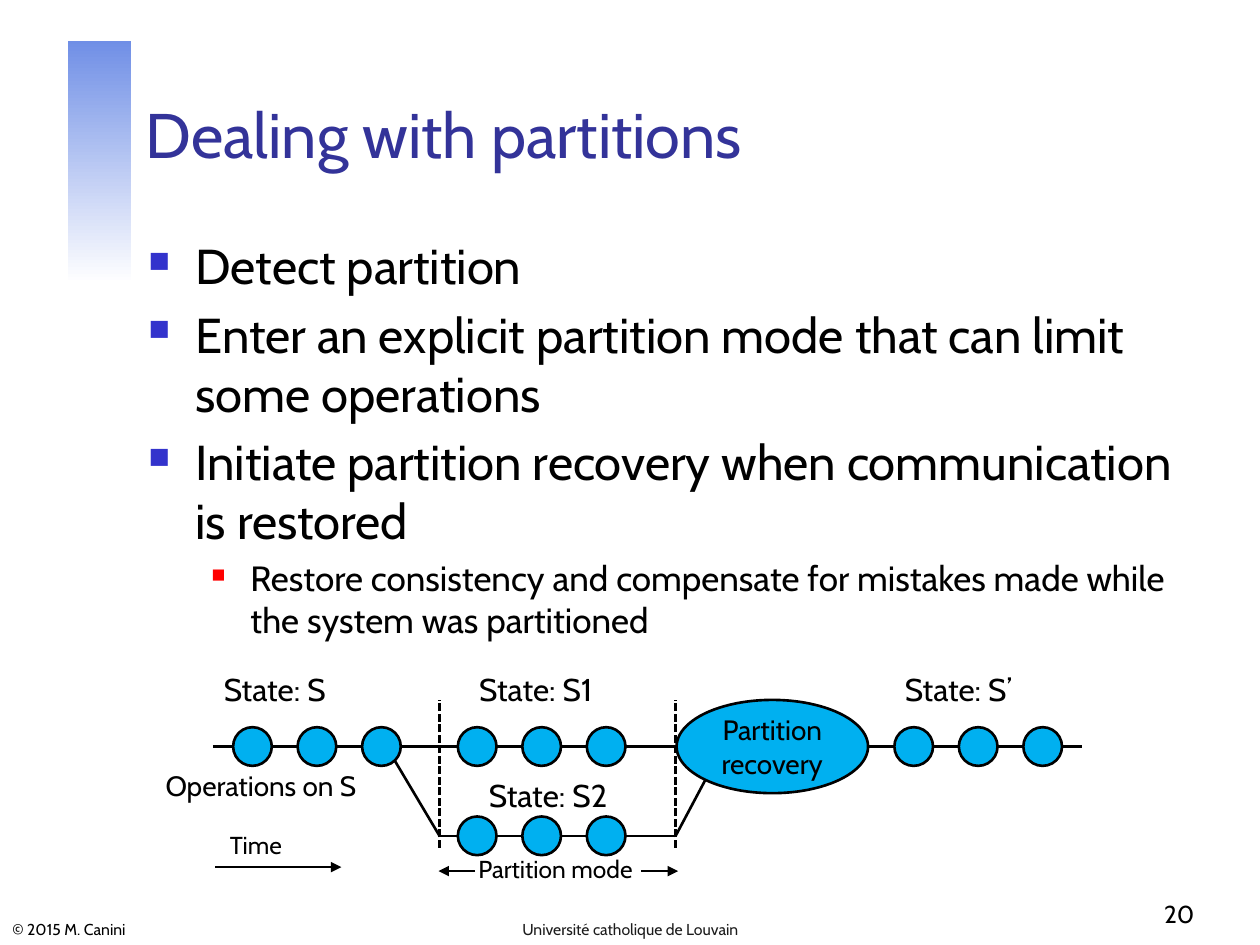
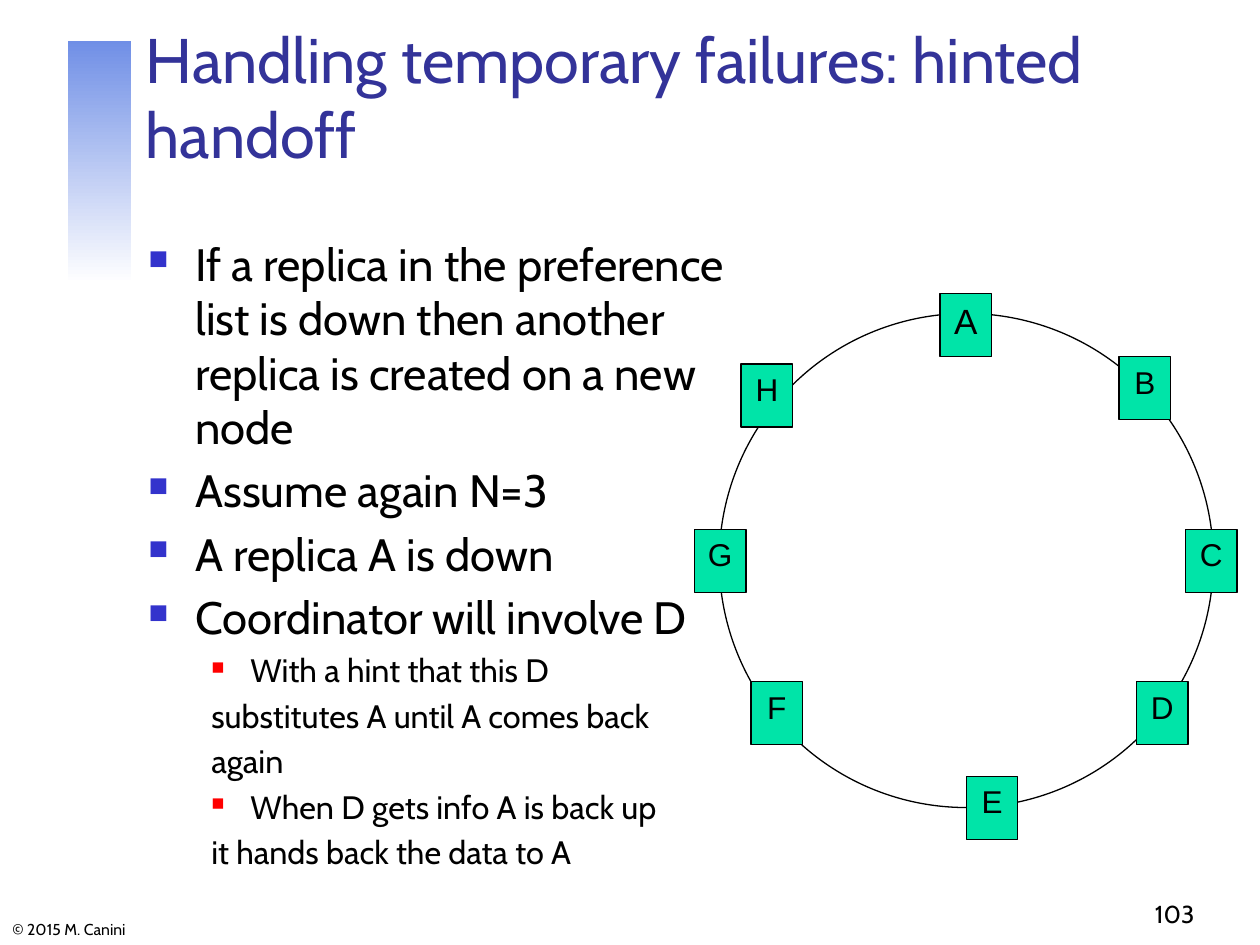
from dataclasses import dataclass

from lxml import etree
from pptx import Presentation
from pptx import util as u
from pptx.dml.color import RGBColor
from pptx.enum import dml, shapes, text
from pptx.oxml import ns

Cm, Pt = u.Cm, u.Pt
LEFT, CENTER, RIGHT = text.PP_ALIGN.LEFT, text.PP_ALIGN.CENTER, text.PP_ALIGN.RIGHT
TOP, MIDDLE, BOTTOM = text.MSO_ANCHOR.TOP, text.MSO_ANCHOR.MIDDLE, text.MSO_ANCHOR.BOTTOM
OVAL, BOX = shapes.MSO_SHAPE.OVAL, shapes.MSO_SHAPE.RECTANGLE


@dataclass(frozen=True)
class Theme:
    font: str = "Cabin"
    node_font: str = "Arial"
    ink: str = "000000"
    paper: str = "FFFFFF"
    title: str = "333399"
    footer: str = "1C1C1C"
    band: str = "708FE6"
    bullet: str = "3333CC"
    sub_bullet: str = "FF0000"
    operation: str = "00B0F0"
    node: str = "00E4A8"
    title_size: float = 36
    number_size: float = 14
    footer_size: float = 9
    state_size: float = 18
    note_size: float = 16
    time_size: float = 14
    flow_line: float = 1.5
    ring_line: float = 0.75


T = Theme()
COPYRIGHT = "© 2015 M. Canini"

LEVELS = {
    "main": dict(margin=0.95, hang=0.95, bullet=T.bullet, percent=60),
    "sub": dict(margin=2.06, hang=0.79, bullet=T.sub_bullet, percent=55),
    "plain": dict(margin=1.27, hang=0, bullet=None, percent=0),
}

PARTITIONS = dict(
    title="Dealing with partitions",
    number="20",
    footer="Université catholique de Louvain",
    body_box=(2.74, 4.63, 21.59, 12.6),
    sizes=dict(main=28, sub=20),
    body=[
        ("main", "Detect partition"),
        ("main", "Enter an explicit partition mode that can limit some operations"),
        ("main", "Initiate partition recovery when communication is restored"),
        ("sub", "Restore consistency and compensate for mistakes made while the system was partitioned"),
    ],
)

HANDOFF = dict(
    title="Handling temporary failures: hinted handoff",
    number="103",
    footer=None,
    body_box=(2.74, 4.63, 12.27, 13.74),
    sizes=dict(main=25.9, sub=18.5, plain=18.5),
    body=[
        ("main", "If a replica in the preference list is down then another replica is created on a new node"),
        ("main", "Assume again N=3"),
        ("main", "A replica A is down"),
        ("main", "Coordinator will involve D"),
        ("sub", "With a hint that this D"),
        ("plain", "substitutes A until A comes back"),
        ("plain", "again"),
        ("sub", "When D gets info A is back up"),
        ("plain", "it hands back the data to A"),
    ],
)

MAIN_Y, BRANCH_Y = 15.05, 16.85
SPLIT_X, MERGE_X = 8.86, 13.62
OPERATION_SIZE, OPERATION_PITCH, OPERATIONS_PER_STATE = 0.78, 1.3, 3
RECOVERY = ("Partition recovery", 13.64, 3.86, 1.88)
S_X, S1_X, S_PRIME_X = 4.7, 9.23, 18.03
TIMELINES = [
    (MAIN_Y, 4.29, [S_X, S1_X, "recovery", S_PRIME_X], 21.82),
    (BRANCH_Y, SPLIT_X, [S1_X], MERGE_X),
]
BRANCHES = [
    (7.95, 15.32, SPLIT_X, BRANCH_Y),
    (MERGE_X, BRANCH_Y, 14.22, 15.72),
]
ARROWS = [
    (4.34, 17.48, 6.88, 17.48),
    (12.93, 17.56, 13.67, 17.56),
    (9.58, 17.56, 8.84, 17.56),
]
FLOW_LABELS = [
    ("State: S", 5.54, 13.39, T.state_size),
    ("State: S1", 10.8, 13.39, T.state_size),
    ("State: S’", 19.32, 13.39, T.state_size),
    ("State: S2", 11.05, 15.52, T.state_size),
    ("Operations on S", 5.26, 15.37, T.note_size),
    ("Time", 5.16, 16.61, T.time_size),
    ("Partition mode", 11.2, 17.09, T.time_size),
]

RING = (14.5, 6.32, 9.96, 9.96)
NODE_WIDTH, NODE_HEIGHT = 1.04, 1.27
NODES = [
    ("A", 18.95, 5.92, 20),
    ("B", 22.56, 7.19, 18),
    ("C", 23.9, 10.67, 18),
    ("D", 22.91, 13.74, 18),
    ("E", 19.48, 15.65, 18),
    ("F", 15.14, 13.74, 18),
    ("G", 14.0, 10.67, 18),
    ("H", 14.94, 7.34, 18),
]


def rgb(color):
    return RGBColor.from_string(color)


def add_element(parent, tag, **attributes):
    return etree.SubElement(parent, ns.qn(tag), attributes)


def style_paragraph(paragraph, size, color=T.ink, align=LEFT, font=T.font):
    paragraph.alignment = align
    for run in paragraph.runs:
        run.font.name = font
        run.font.size = Pt(size)
        run.font.color.rgb = rgb(color)


def write(slide, words, box, size, color=T.ink, align=LEFT, anchor=TOP, wrap=True):
    frame = slide.shapes.add_textbox(*map(Cm, box)).text_frame
    frame.word_wrap = wrap
    frame.vertical_anchor = anchor
    frame.text = words
    style_paragraph(frame.paragraphs[0], size, color, align)


def draw(slide, outline, box, fill, line_width):
    part = slide.shapes.add_shape(outline, *map(Cm, box))
    part.shadow.inherit = False
    part.fill.solid()
    part.fill.fore_color.rgb = rgb(fill)
    part.line.color.rgb = rgb(T.ink)
    part.line.width = Pt(line_width)
    return part


def label(part, words, size, font=T.font, anchor=MIDDLE):
    part.text_frame.text = words
    part.text_frame.vertical_anchor = anchor
    style_paragraph(part.text_frame.paragraphs[0], size, align=CENTER, font=font)


def connect(slide, ends, dashed=False, arrow=False):
    link = slide.shapes.add_connector(shapes.MSO_CONNECTOR.STRAIGHT, *map(Cm, ends))
    link.line.color.rgb = rgb(T.ink)
    link.line.width = Pt(T.flow_line)
    if dashed:
        link.line.dash_style = dml.MSO_LINE.SQUARE_DOT
    properties = link._element.spPr
    if arrow:
        add_element(properties.find(ns.qn("a:ln")), "a:tailEnd", type="triangle")
    add_element(properties, "a:effectLst")


def set_bullet(paragraph, margin, hang, bullet, percent):
    properties = paragraph._p.get_or_add_pPr()
    properties.set("marL", str(Cm(margin)))
    properties.set("indent", str(-Cm(hang)))
    if bullet:
        tint = add_element(properties, "a:buClr")
        add_element(tint, "a:srgbClr", val=bullet)
        add_element(properties, "a:buSzPct", val=str(percent * 1000))
        add_element(properties, "a:buChar", char="■")
    else:
        add_element(properties, "a:buNone")


def write_body(slide, content):
    frame = slide.shapes.add_textbox(*map(Cm, content["body_box"])).text_frame
    frame.word_wrap = True
    frame.text = "\n".join(words for _, words in content["body"])
    for index, (level, _) in enumerate(content["body"]):
        paragraph = frame.paragraphs[index]
        size = content["sizes"][level]
        set_bullet(paragraph, **LEVELS[level])
        if index:
            paragraph.space_before = Pt(size * 0.2)
        style_paragraph(paragraph, size)


def add_base(deck, content):
    slide = deck.slides.add_slide(deck.slide_layouts[6])
    band = draw(slide, BOX, (1.37, 0.82, 1.27, 4.9), T.band, 1)
    band.line.fill.background()
    band.fill.gradient()
    band.fill.gradient_angle = 270
    for stop, color in zip(band.fill.gradient_stops, (T.band, T.paper)):
        stop.color.rgb = rgb(color)
    write(slide, COPYRIGHT, (0, 18.34, 7.67, 0.71), T.footer_size, anchor=BOTTOM)
    write(slide, content["title"], (2.69, 0.84, 21.64, 2.74), T.title_size, T.title, anchor=BOTTOM)
    write_body(slide, content)
    write(slide, content["number"], (19.05, 17.58, 5.28, 1.27), T.number_size, align=RIGHT, anchor=BOTTOM)
    if content["footer"]:
        write(slide, content["footer"], (8.69, 18.34, 8.03, 0.71), T.footer_size, T.footer, CENTER, BOTTOM)
    return slide


def draw_timeline(slide, y, start, stages, end):
    reached = start
    for stage in stages:
        if stage == "recovery":
            words, left, width, height = RECOVERY
            part = draw(slide, OVAL, (left, y - height / 2, width, height), T.operation, T.flow_line)
            label(part, words, T.note_size)
            spans = [(left, width)]
        else:
            spans = [(stage + i * OPERATION_PITCH, OPERATION_SIZE) for i in range(OPERATIONS_PER_STATE)]
            for left, size in spans:
                draw(slide, OVAL, (left, y - size / 2, size, size), T.operation, T.flow_line)
        for left, width in spans:
            connect(slide, (reached, y, left, y))
            reached = left + width
    connect(slide, (reached, y, end, y))


def draw_partition_flow(slide):
    for timeline in TIMELINES:
        draw_timeline(slide, *timeline)
    for branch in BRANCHES:
        connect(slide, branch)
    for x in (SPLIT_X, MERGE_X):
        connect(slide, (x, 17.09, x, 14.12), dashed=True)
    for arrow in ARROWS:
        connect(slide, arrow, arrow=True)
    width = 4.4
    for words, center, top, size in FLOW_LABELS:
        write(slide, words, (center - width / 2, top, width, 1), size, align=CENTER, wrap=False)


def draw_replica_ring(slide):
    draw(slide, OVAL, RING, T.paper, T.ring_line)
    for name, left, top, size in NODES:
        node = draw(slide, BOX, (left, top, NODE_WIDTH, NODE_HEIGHT), T.node, T.ring_line)
        label(node, name, size, T.node_font, TOP)


def main():
    deck = Presentation()
    deck.slide_width, deck.slide_height = Cm(25.4), Cm(19.05)
    draw_partition_flow(add_base(deck, PARTITIONS))
    draw_replica_ring(add_base(deck, HANDOFF))
    deck.save("out.pptx")


if __name__ == "__main__":
    main()
